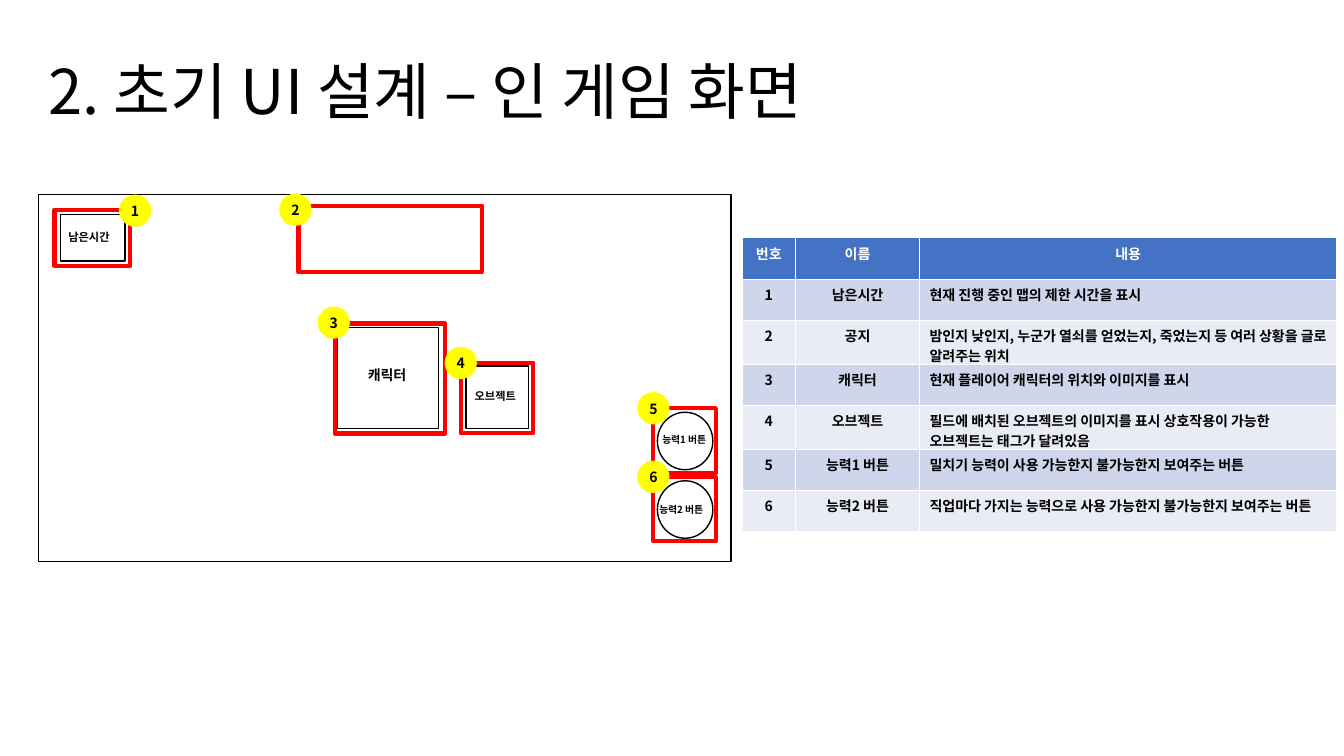
from pptx import Presentation
from pptx.dml.color import RGBColor
from pptx.enum.shapes import MSO_SHAPE
from pptx.enum.text import MSO_ANCHOR, MSO_AUTO_SIZE, PP_ALIGN
from pptx.oxml.ns import qn
from pptx.util import Inches, Pt
from lxml import etree

RECT, OVAL = MSO_SHAPE.RECTANGLE, MSO_SHAPE.OVAL
LEFT, CENTER = PP_ALIGN.LEFT, PP_ALIGN.CENTER
MIDDLE = MSO_ANCHOR.MIDDLE
FIXED, GROW = MSO_AUTO_SIZE.NONE, MSO_AUTO_SIZE.SHAPE_TO_FIT_TEXT
FONT = "Noto Sans CJK KR"
BLACK, WHITE, RED, YELLOW = "000000", "FFFFFF", "FF0000", "FFFF00"
HEADER, BANDS = "4472C4", ("CFD5EA", "E9EBF5")
MARKER_SIZE, MARKER_TEXT_W = 0.32, 0.45

WIDGETS = [
    {"number": "1", "frame": (0.16, 0.15, 0.75, 0.56), "marker": (0.8, 0),
     "inner": (RECT, 0.22, 0.2, 0.64, 0.46),
     "label": ("남은시간", 8, 0.2, 0.31, 0.67, 0.24)},
    {"number": "2", "frame": (2.58, 0.11, 1.82, 0.66), "marker": (2.39, -0.01)},
    {"number": "3", "frame": (2.94, 1.28, 1.09, 1.09), "marker": (2.77, 1.11),
     "inner": (RECT, 2.97, 1.32, 1, 1),
     "label": ("캐릭터", 10, 3.17, 1.66, 0.63, 0.27)},
    {"number": "4", "frame": (4.19, 1.67, 0.72, 0.7), "marker": (4.03, 1.51),
     "inner": (RECT, 4.24, 1.7, 0.62, 0.62),
     "label": ("오브젝트", 8, 4.23, 1.88, 0.64, 0.24)},
    {"number": "5", "frame": (6.1, 2.12, 0.62, 0.64), "marker": (5.94, 1.96),
     "inner": (OVAL, 6.14, 2.16, 0.55, 0.57),
     "label": ("능력1 버튼", 7, 6.09, 2.32, 0.72, 0.22)},
    {"number": "6", "frame": (6.1, 2.8, 0.62, 0.64), "marker": (5.94, 2.64),
     "inner": (OVAL, 6.14, 2.84, 0.55, 0.57),
     "label": ("능력2 버튼", 7, 6.06, 3.02, 0.72, 0.22)},
]
COLUMNS = (0.53, 1.23, 4.14)
ROWS = [
    ("번호", "이름", "내용"),
    ("1", "남은시간", "현재 진행 중인 맵의 제한 시간을 표시"),
    ("2", "공지", "밤인지 낮인지, 누군가 열쇠를 얻었는지, 죽었는지 등 여러 상황을 글로 알려주는 위치"),
    ("3", "캐릭터", "현재 플레이어 캐릭터의 위치와 이미지를 표시"),
    ("4", "오브젝트", "필드에 배치된 오브젝트의 이미지를 표시 상호작용이 가능한 오브젝트는 태그가 달려있음"),
    ("5", "능력1 버튼", "밀치기 능력이 사용 가능한지 불가능한지 보여주는 버튼"),
    ("6", "능력2 버튼", "직업마다 가지는 능력으로 사용 가능한지 불가능한지 보여주는 버튼"),
]


def rgb(color):
    """Turn a hex string into a colour."""
    return RGBColor.from_string(color)


def apply(target, values):
    """Set each attribute of the target from a dict."""
    for name, value in values.items():
        setattr(target, name, value)


def write(tf, text, size, color=BLACK, bold=True, align=LEFT):
    """Write one formatted run into a text frame and return its paragraph."""
    p = tf.paragraphs[0]
    p.alignment = align
    r = p.add_run()
    r.text = text
    apply(r.font, {"size": Pt(size), "bold": bold, "name": FONT})
    r.font.color.rgb = rgb(color)
    etree.SubElement(r.font._element, qn("a:ea"), typeface=FONT)
    return p


def add_outline(shapes, kind, box, line=None, width=1, fill=None):
    """Add a preset shape with an optional line and fill."""
    sp = shapes.add_shape(kind, *map(Inches, box))
    sp.shadow.inherit = False
    if fill:
        sp.fill.solid()
        sp.fill.fore_color.rgb = rgb(fill)
    else:
        sp.fill.background()
    if line:
        sp.line.color.rgb = rgb(line)
        sp.line.width = Pt(width)
    else:
        sp.line.fill.background()


def add_label(shapes, box, text, size, align=LEFT):
    """Add a bold caption in a text box."""
    tf = shapes.add_textbox(*map(Inches, box)).text_frame
    apply(tf, {"word_wrap": True, "auto_size": GROW})
    write(tf, text, size, align=align)


def add_marker(s, x, y, number):
    """Group a yellow disc with its number."""
    shapes = s.shapes.add_group_shape().shapes
    add_outline(shapes, OVAL, (x, y, MARKER_SIZE, MARKER_SIZE), fill=YELLOW)
    text_x = x + (MARKER_SIZE - MARKER_TEXT_W) / 2
    add_label(shapes, (text_x, y + 0.03, MARKER_TEXT_W, 0.27), number, 10, CENTER)


def add_title(s, box):
    """Place the slide heading in the title placeholder."""
    sp = s.shapes.title
    apply(sp, dict(zip(("left", "top", "width", "height"), map(Inches, box))))
    tf = sp.text_frame
    apply(tf, {"vertical_anchor": MIDDLE, "word_wrap": True, "auto_size": FIXED})
    p = write(tf, "2. 초기 UI 설계 – 인 게임 화면", 44, bold=False)
    p.line_spacing = 0.9


def add_game_screen(s, box):
    """Draw the game screen wireframe with its numbered widgets."""
    x, y = box[:2]
    add_outline(s.shapes, RECT, box, BLACK)

    def place(left, top, *size):
        """Shift a position from the screen to the slide."""
        return (x + left, y + top, *size)

    for widget in WIDGETS:
        if "inner" in widget:
            kind, *inner = widget["inner"]
            add_outline(s.shapes, kind, place(*inner), BLACK)
            text, size, *label = widget["label"]
            add_label(s.shapes, place(*label), text, size)
        add_outline(s.shapes, RECT, place(*widget["frame"]), RED, 3)
        add_marker(s, *place(*widget["marker"]), widget["number"])


def add_widget_table(s, box):
    """Add the table that explains each numbered widget."""
    table = s.shapes.add_table(len(ROWS), len(COLUMNS), *map(Inches, box)).table
    for column, width in zip(table.columns, COLUMNS):
        column.width = Inches(width)
    for i, texts in enumerate(ROWS):
        table.rows[i].height = Inches(0.41)
        for j, text in enumerate(texts):
            cell = table.cell(i, j)
            cell.fill.solid()
            cell.fill.fore_color.rgb = rgb(BANDS[(i - 1) % 2] if i else HEADER)
            align = LEFT if i and j == 2 else CENTER
            write(cell.text_frame, text, 10, BLACK if i else WHITE, align=align)


def main():
    """Build and save the slide."""
    prs = Presentation()
    apply(prs, {"slide_width": Inches(13.33), "slide_height": Inches(7.5)})
    s = prs.slides.add_slide(prs.slide_layouts[5])
    add_title(s, (0.38, 0.21, 11.5, 1.45))
    add_game_screen(s, (0.38, 1.93, 6.87, 3.64))
    add_widget_table(s, (7.36, 2.36, 5.9, 2.87))
    prs.save("out.pptx")


if __name__ == "__main__":
    main()
